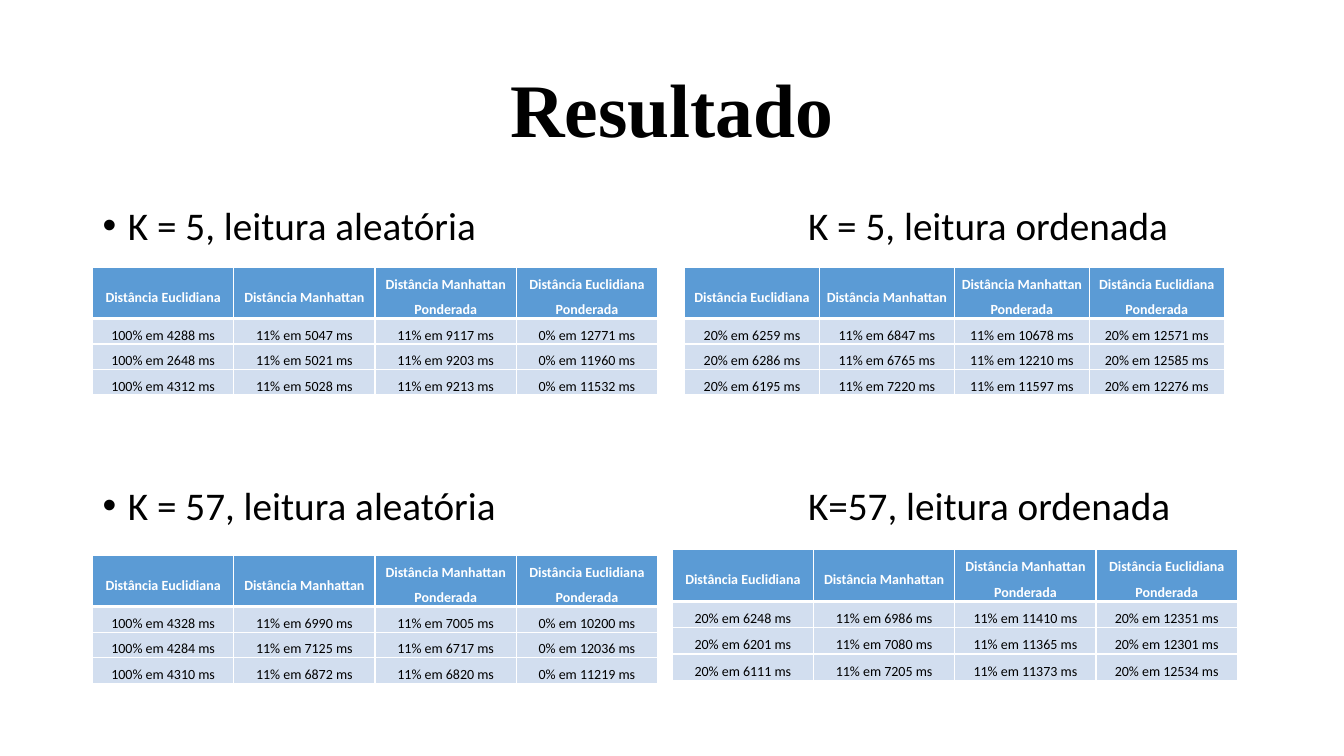
from lxml import etree
from pptx import Presentation
from pptx import util as u
from pptx.dml import color
from pptx.enum import text
from pptx.oxml import ns

THEME = {
    "title": ({"name": "Times New Roman", "size": u.Pt(54), "bold": True}, "000000"),
    "list": ({"name": "Calibri", "size": u.Pt(28)}, "000000"),
    "header": ({"name": "Calibri", "size": u.Pt(10), "bold": True}, "FFFFFF"),
    "result": ({"name": "Calibri", "size": u.Pt(10), "bold": False}, "000000"),
    "fills": {"header": "5B9BD5", "result": "D2DEEF"},
    "border": "FFFFFF",
}
CELL = {
    "vertical_anchor": text.MSO_ANCHOR.MIDDLE,
    "margin_left": u.Cm(0.15), "margin_right": u.Cm(0.15),
    "margin_top": 0, "margin_bottom": 0,
}
CENTRED = {"alignment": text.PP_ALIGN.CENTER, "line_spacing": 1.5}


def apply(target, values):
    for key, value in values.items():
        setattr(target, key, value)


def set_font(paragraph, role):
    font = paragraph.runs[0].font
    values, ink = THEME[role]
    apply(font, values)
    font.color.rgb = color.RGBColor.from_string(ink)


deck = Presentation()
apply(deck, {"slide_width": u.Cm(33.87), "slide_height": u.Cm(19.05)})
slide = deck.slides.add_slide(deck.slide_layouts[1])

heading = slide.shapes.title
apply(heading, {"left": u.Cm(2.33), "top": u.Cm(1.01),
                "width": u.Cm(29.21), "height": u.Cm(3.68)})
heading.text_frame.text = "Resultado"
apply(heading.text_frame, {"vertical_anchor": text.MSO_ANCHOR.MIDDLE,
                           "auto_size": text.MSO_AUTO_SIZE.NONE})
apply(heading.text_frame.paragraphs[0],
      {"alignment": text.PP_ALIGN.CENTER, "line_spacing": 0.9})
set_font(heading.text_frame.paragraphs[0], "title")

readings = slide.placeholders[1]
apply(readings, {"left": u.Cm(2.33), "top": u.Cm(5.07),
                 "width": u.Cm(29.21), "height": u.Cm(12.09)})
readings.text_frame.text = (
    "K = 5, leitura aleatória\tK = 5, leitura ordenada\n"
    "K = 57, leitura aleatória\tK=57, leitura ordenada"
)
apply(readings.text_frame, {"vertical_anchor": text.MSO_ANCHOR.TOP,
                            "auto_size": text.MSO_AUTO_SIZE.NONE})
for reading, gap in zip(readings.text_frame.paragraphs, (10, 170)):
    apply(reading, {"line_spacing": 0.9, "space_before": u.Pt(gap)})
    set_font(reading, "list")
    properties = reading._p.get_or_add_pPr()
    properties.set("marL", str(u.Cm(0.64)))
    properties.set("indent", str(u.Cm(-0.64)))
    etree.SubElement(properties, ns.qn("a:buFont"), typeface="Arial")
    etree.SubElement(properties, ns.qn("a:buChar"), char="•")
    stops = etree.SubElement(properties, ns.qn("a:tabLst"))
    etree.SubElement(stops, ns.qn("a:tab"), pos=str(u.Cm(17.78)), algn="l")

distances = ["Distância Euclidiana", "Distância Manhattan",
             "Distância Manhattan Ponderada", "Distância Euclidiana Ponderada"]
experiments = [
    (2.33, 6.74, 3.56, 1.24, 0.58, (100, 11, 11, 0),
     [(4288, 5047, 9117, 12771), (2648, 5021, 9203, 11960), (4312, 5028, 9213, 11532)]),
    (17.25, 6.74, 3.4, 1.27, 0.64, (20, 11, 11, 20),
     [(6259, 6847, 10678, 12571), (6286, 6765, 12210, 12585), (6195, 7220, 11597, 12276)]),
    (2.33, 14.0, 3.56, 1.24, 0.58, (100, 11, 11, 0),
     [(4328, 6990, 7005, 10200), (4284, 7125, 6717, 12036), (4310, 6872, 6820, 11219)]),
    (16.94, 13.84, 3.56, 1.32, 0.66, (20, 11, 11, 20),
     [(6248, 6986, 11410, 12351), (6201, 7080, 11365, 12301), (6111, 7205, 11373, 12534)]),
]

for left, top, column_width, header_height, row_height, rates, timings in experiments:
    rows = [distances] + [
        [f"{rate}% em {ms} ms" for rate, ms in zip(rates, run)] for run in timings
    ]
    results = slide.shapes.add_table(
        len(rows), len(distances), u.Cm(left), u.Cm(top),
        u.Cm(column_width * len(distances)),
        u.Cm(header_height + row_height * len(timings)),
    ).table
    results.horz_banding = False
    for column in results.columns:
        column.width = u.Cm(column_width)
    for r, row in enumerate(rows):
        role = "result" if r else "header"
        results.rows[r].height = u.Cm(row_height if r else header_height)
        for c, wording in enumerate(row):
            cell = results.cell(r, c)
            cell.text = wording
            apply(cell, CELL)
            apply(cell.text_frame.paragraphs[0], CENTRED)
            set_font(cell.text_frame.paragraphs[0], role)
            thick_edge = {0: "lnB", 1: "lnT"}.get(r)
            for edge in ("lnL", "lnR", "lnT", "lnB"):
                line = etree.SubElement(cell._tc.get_or_add_tcPr(), ns.qn(f"a:{edge}"),
                                        w=str(u.Pt(3 if edge == thick_edge else 1)))
                paint = etree.SubElement(line, ns.qn("a:solidFill"))
                etree.SubElement(paint, ns.qn("a:srgbClr"), val=THEME["border"])
            cell.fill.solid()
            cell.fill.fore_color.rgb = color.RGBColor.from_string(THEME["fills"][role])

deck.save("out.pptx")
